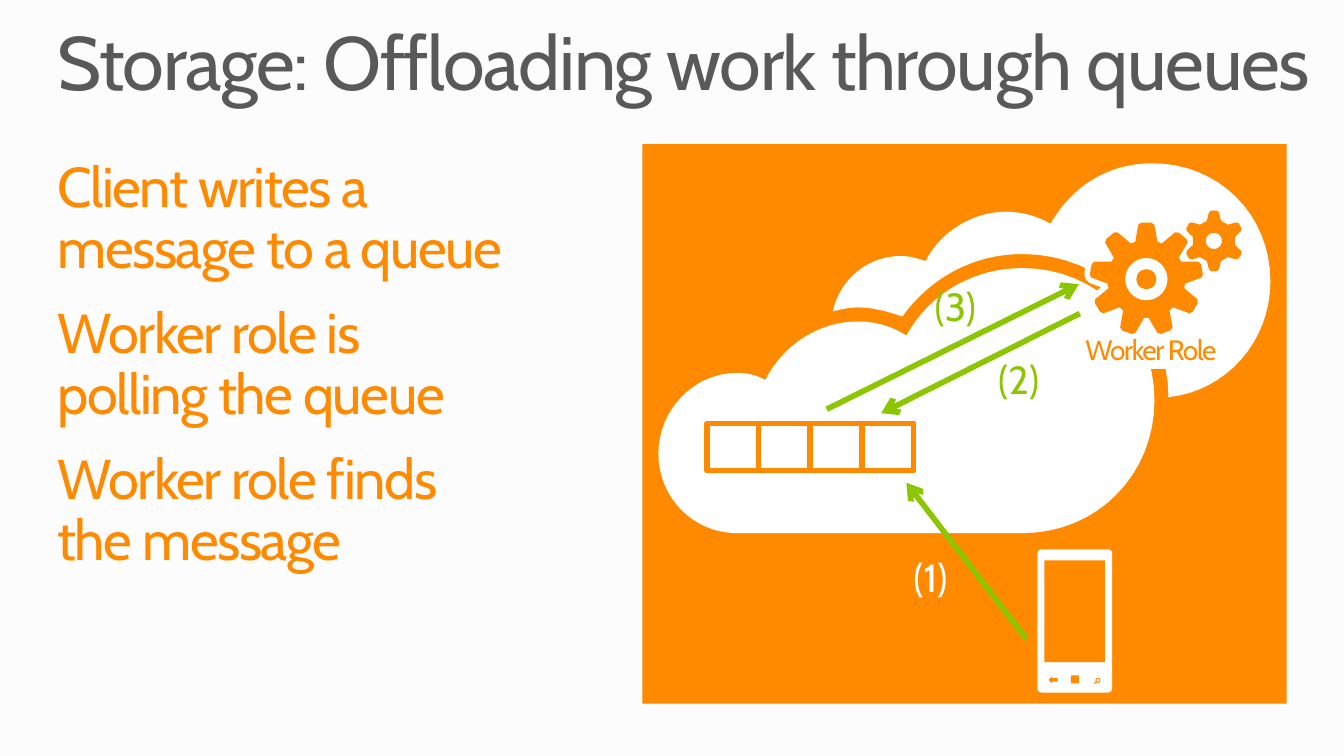
from math import cos, sin, pi
from lxml.etree import SubElement
from pptx import Presentation
from pptx.dml.color import RGBColor
from pptx.enum.shapes import MSO_CONNECTOR, MSO_SHAPE
from pptx.enum.text import MSO_ANCHOR, MSO_AUTO_SIZE, PP_ALIGN
from pptx.oxml.ns import qn
from pptx.util import Inches, Pt

HUES = {"back": "FCFCFC", "grey": "595959", "orange": "FF8A00",
        "green": "8CC600", "white": "FFFFFF"}
INK = {name: RGBColor.from_string(code) for name, code in HUES.items()}


def paint(shape, fill=None, line=None, width=4):
    shape.shadow.inherit = False
    if fill:
        shape.fill.solid()
        shape.fill.fore_color.rgb = INK[fill]
    else:
        shape.fill.background()
    if line:
        shape.line.color.rgb = INK[line]
        shape.line.width = Pt(width)
    else:
        shape.line.fill.background()


def write(frame, paras, size, hue, tight=True, wrap=True, align=PP_ALIGN.LEFT, after=0):
    frame.margin_left = frame.margin_right = frame.margin_top = frame.margin_bottom = 0
    frame.auto_size = MSO_AUTO_SIZE.NONE
    frame.word_wrap = wrap
    for i, lines in enumerate(paras):
        para = frame.add_paragraph() if i else frame.paragraphs[0]
        para.alignment = align
        para.space_before, para.space_after = Pt(0), Pt(after)
        para.line_spacing = 0.9 if tight else 1.0
        for j, line in enumerate(lines):
            if j:
                para.add_line_break()
            run = para.add_run()
            run.text = line
            run.font.name = "Cabin"
            run.font.size = Pt(size)
            run.font.color.rgb = INK[hue]
            if tight:
                run._r.get_or_add_rPr().set("spc", "-100")


deck = Presentation()
deck.slide_width, deck.slide_height = Inches(13.33), Inches(7.5)
slide = deck.slides.add_slide(deck.slide_layouts[5])
slide.background.fill.solid()
slide.background.fill.fore_color.rgb = INK["back"]
shapes = slide.shapes

# Title and body
title = shapes.title
title.left, title.top = Inches(0.57), Inches(0.25)
title.width, title.height = Inches(12.76), Inches(0.82)
title.text_frame.vertical_anchor = MSO_ANCHOR.TOP
write(title.text_frame, [["Storage: Offloading work through queues"]], 54, "grey")
body = shapes.add_textbox(Inches(0.57), Inches(1.58), Inches(5.57), Inches(4.14))
write(body.text_frame, [["Client writes a", "message to a queue"],
                        ["Worker role is", "polling the queue"],
                        ["Worker role finds", "the message"]], 40, "orange", after=18)

# Orange panel
panel = shapes.add_shape(MSO_SHAPE.RECTANGLE, Inches(6.37), Inches(1.43),
                         Inches(6.39), Inches(5.55))
paint(panel, "orange")

# Clouds: a start point, then curves as two handles and an end
clouds = [
    ((11.43, 1.62), [
        (10.99, 1.62, 10.63, 1.85, 10.42, 2.22), (10.3, 2.15, 10.14, 2.1, 9.98, 2.1),
        (9.64, 2.1, 9.32, 2.31, 9.18, 2.59), (9.09, 2.56, 9.02, 2.54, 8.93, 2.54),
        (8.61, 2.54, 8.33, 2.77, 8.26, 3.09), (8.33, 3.07, 8.42, 3.05, 8.51, 3.05),
        (8.65, 3.05, 8.81, 3.09, 8.95, 3.14), (9.23, 2.75, 9.66, 2.52, 10.14, 2.52),
        (10.95, 2.52, 11.59, 3.16, 11.59, 3.94), (12.16, 3.88, 12.6, 3.39, 12.6, 2.79),
        (12.6, 2.13, 12.09, 1.62, 11.43, 1.62)]),
    ((10.14, 2.66), [
        (9.66, 2.66, 9.22, 2.91, 8.99, 3.33), (8.85, 3.24, 8.69, 3.19, 8.51, 3.19),
        (8.12, 3.19, 7.77, 3.42, 7.59, 3.77), (7.5, 3.72, 7.41, 3.7, 7.31, 3.7),
        (6.88, 3.7, 6.53, 4.07, 6.53, 4.5), (6.53, 4.94, 6.88, 5.29, 7.31, 5.29),
        (8.51, 5.29, 8.51, 5.29, 10.14, 5.29), (10.88, 5.29, 11.45, 4.71, 11.45, 3.97),
        (11.45, 3.24, 10.88, 2.66, 10.14, 2.66)]),
]
forms = []
for start, curves in clouds:
    rim = [start]
    for ax, ay, bx, by, ex, ey in curves:
        sx, sy = rim[-1]
        for step in range(1, 17):
            t = step / 16
            u = 1 - t
            k = (u ** 3, 3 * u * u * t, 3 * u * t * t, t ** 3)
            rim.append((k[0] * sx + k[1] * ax + k[2] * bx + k[3] * ex,
                        k[0] * sy + k[1] * ay + k[2] * by + k[3] * ey))
    forms.append(([rim], "white", None))

# Gears: each tooth is a half profile of (offset, radius), mirrored and turned
big = (11.37, 2.77, 9, [(0.11, 0.37), (0.08, 0.54), (0.05, 0.56)], 0.21)
small = (12.04, 2.39, 6, [(0.07, 0.2), (0.05, 0.28), (0.03, 0.3)], 0.08)
for gear, fill, line in [(big, "white", "white"), (big, "orange", None),
                         (small, "orange", None)]:
    cx, cy, teeth, half, hole = gear
    tooth = [(-x, r) for x, r in half] + half[::-1]
    rim = [(cx + x * cos(a) + r * sin(a), cy + x * sin(a) - r * cos(a))
           for a in (2 * pi * i / teeth for i in range(teeth)) for x, r in tooth]
    ring = [(cx + hole * cos(pi * i / 24), cy - hole * sin(pi * i / 24)) for i in range(48)]
    forms.append(([rim, ring], fill, line))

for rims, fill, line in forms:
    pen = None
    for rim in rims:
        dots = [(Inches(x), Inches(y)) for x, y in rim]
        if pen:
            pen.move_to(*dots[0])
        else:
            pen = shapes.build_freeform(*dots[0])
        pen.add_line_segments(dots[1:], close=True)
    paint(pen.convert_to_shape(), fill, line, 8)

# Gear hub, worker label and gap filler
hub = shapes.add_shape(MSO_SHAPE.OVAL, Inches(11.27), Inches(2.67), Inches(0.2), Inches(0.2))
paint(hub, "orange")
role = shapes.add_shape(MSO_SHAPE.RECTANGLE, Inches(10.66), Inches(3.32),
                        Inches(1.51), Inches(0.34))
paint(role, "white")
role.text_frame.vertical_anchor = MSO_ANCHOR.MIDDLE
write(role.text_frame, [["Worker Role"]], 20, "orange", align=PP_ALIGN.CENTER, after=18)
gap = shapes.add_shape(MSO_SHAPE.ISOSCELES_TRIANGLE, Inches(11.27), Inches(3.17),
                       Inches(0.24), Inches(0.18))
paint(gap, "white")

# Phone with its screen and keys
for kind, x, y, w, h, fill in [
        (MSO_SHAPE.ROUNDED_RECTANGLE, 10.29, 5.45, 0.74, 1.42, "white"),
        (MSO_SHAPE.RECTANGLE, 10.36, 5.56, 0.6, 1.01, "orange"),
        (MSO_SHAPE.LEFT_ARROW, 10.4, 6.71, 0.09, 0.07, "orange"),
        (MSO_SHAPE.RECTANGLE, 10.62, 6.7, 0.08, 0.08, "orange")]:
    part = shapes.add_shape(kind, Inches(x), Inches(y), Inches(w), Inches(h))
    paint(part, fill)
    if kind == MSO_SHAPE.ROUNDED_RECTANGLE:
        part.adjustments[0] = 0.05
lens = shapes.add_shape(MSO_SHAPE.OVAL, Inches(10.87), Inches(6.73), Inches(0.04), Inches(0.04))
paint(lens, "white", "orange", 0.75)

# Queue cells
for i in range(4):
    x = 7.01 + 0.515 * i
    cell = shapes.add_shape(MSO_SHAPE.RECTANGLE, Inches(x), Inches(4.2),
                            Inches(min(1.02, 9.06 - x)), Inches(0.47))
    paint(cell, None, "orange")

# Arrows and lens handle
for x, y, ex, ey, hue, width in [
        (10.18, 6.34, 8.99, 4.79, "green", 4), (8.2, 4.06, 10.7, 2.82, "green", 4),
        (10.71, 3.11, 8.74, 4.1, "green", 4), (10.85, 6.78, 10.88, 6.76, "orange", 0.75)]:
    link = shapes.add_connector(MSO_CONNECTOR.STRAIGHT, Inches(x), Inches(y),
                                Inches(ex), Inches(ey))
    link.line.color.rgb = INK[hue]
    link.line.width = Pt(width)
    if hue == "green":
        SubElement(link.line._get_or_add_ln(), qn("a:tailEnd"), type="arrow")
    SubElement(link._element.spPr, qn("a:effectLst"))

# Step numbers
for text, x, y, hue in [("(1)", 9.06, 5.49, "white"), ("(2)", 9.9, 3.53, "green"),
                        ("(3)", 9.27, 2.8, "green")]:
    mark = shapes.add_textbox(Inches(x), Inches(y), Inches(0.45), Inches(0.47))
    write(mark.text_frame, [[text]], 28, hue, tight=False, wrap=False)

deck.save("out.pptx")
